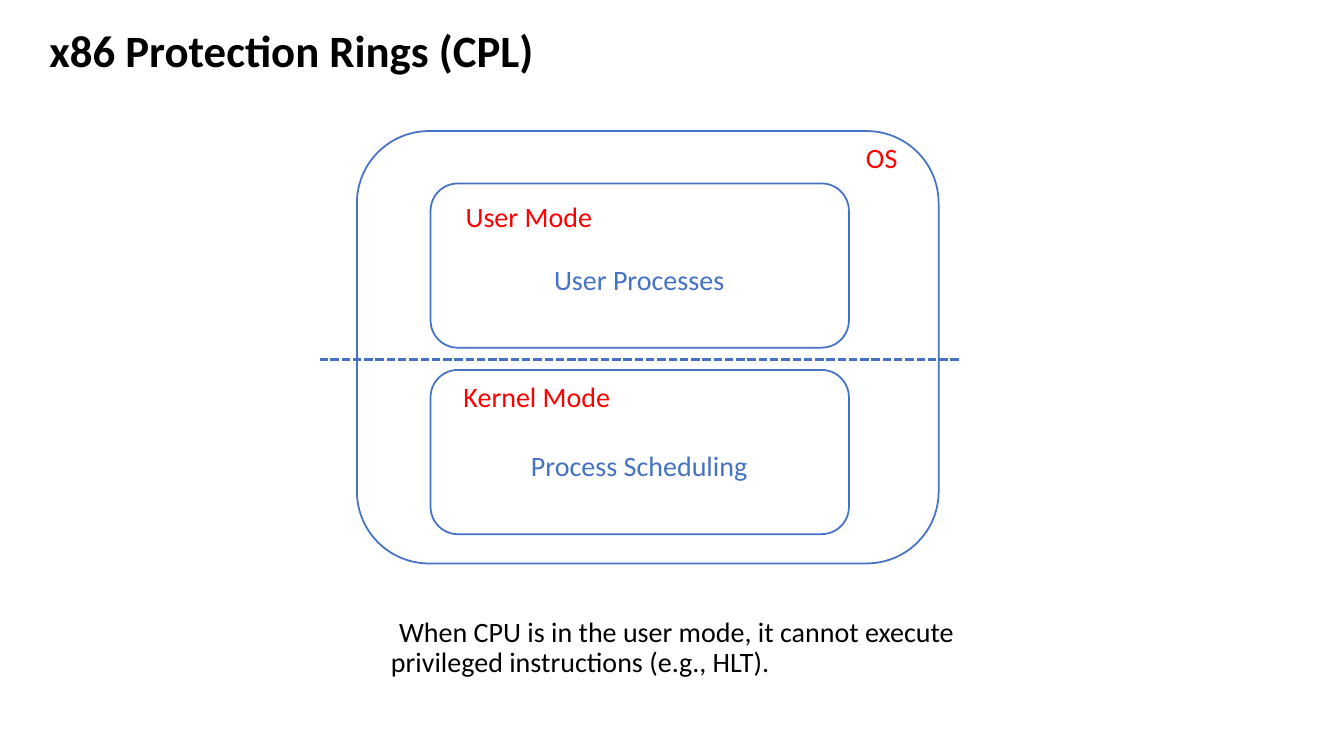
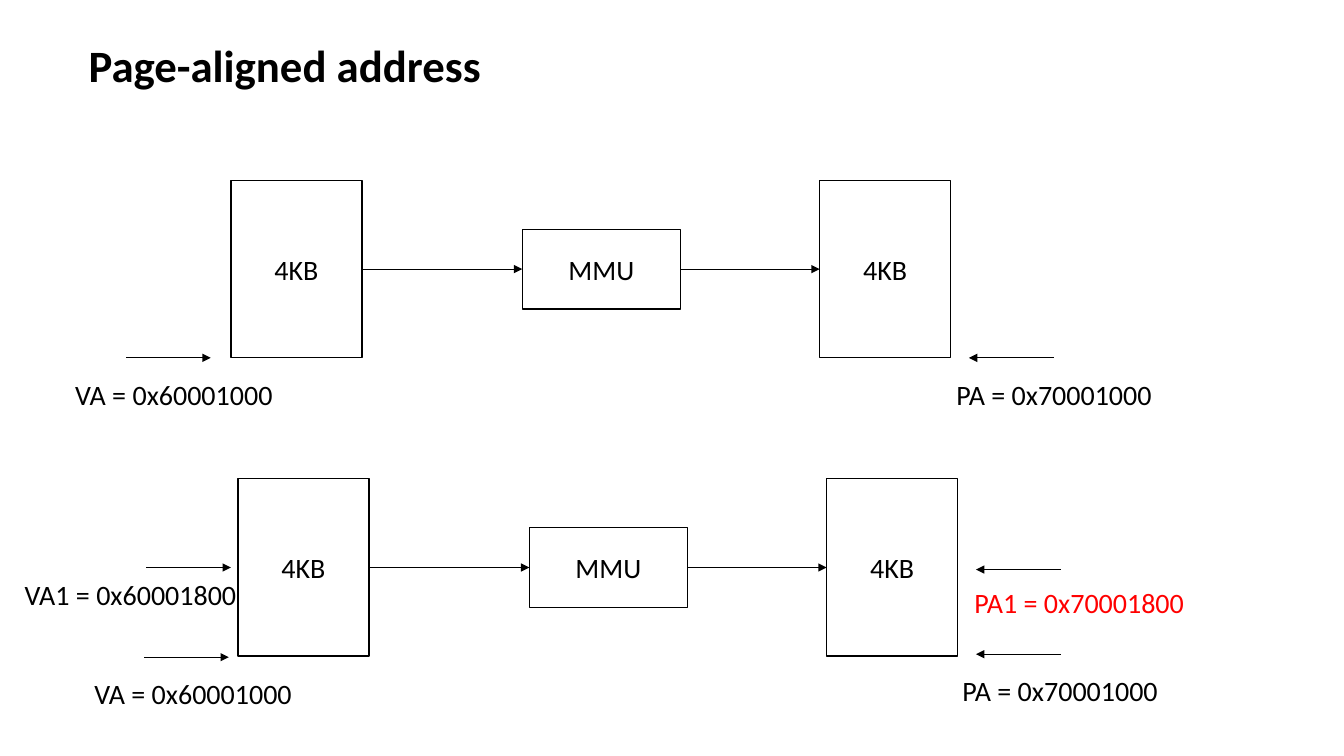
from lxml import etree
from pptx import Presentation
from pptx import util as u
from pptx.dml.color import RGBColor
from pptx.enum import dml, shapes, text
from pptx.oxml.ns import qn

BLACK = RGBColor(0x00, 0x00, 0x00)
RED = RGBColor(0xFF, 0x00, 0x00)
BLUE = RGBColor(0x44, 0x72, 0xC4)
FONT = "Calibri"
ROUNDED = shapes.MSO_SHAPE.ROUNDED_RECTANGLE
RECTANGLE = shapes.MSO_SHAPE.RECTANGLE


def add_box(slide, at, words="", color=BLACK, outline=None, weight=1, preset=None,
            size=20, bold=False, align=text.PP_ALIGN.CENTER, anchor=text.MSO_ANCHOR.MIDDLE):
    place = [u.Inches(length) for length in at]
    if preset is None:
        box = slide.shapes.add_textbox(*place)
    else:
        box = slide.shapes.add_shape(preset, *place)
        box.shadow.inherit = False
        box.fill.background()
        if outline is None:
            box.line.fill.background()
        else:
            box.line.color.rgb = outline
            box.line.width = u.Pt(weight)
    frame = box.text_frame
    frame.word_wrap = True
    frame.vertical_anchor = anchor
    if words:
        frame.text = words
        paragraph = frame.paragraphs[0]
        paragraph.alignment = align
        font = paragraph.runs[0].font
        font.name, font.size, font.bold = FONT, u.Pt(size), bold
        font.color.rgb = color
    return box


def add_line(slide, start, end, color=BLACK, weight=0.5, arrow=True):
    line = slide.shapes.add_connector(
        shapes.MSO_CONNECTOR.STRAIGHT, *[u.Inches(length) for length in (*start, *end)])
    line.line.color.rgb = color
    line.line.width = u.Pt(weight)
    if arrow:
        etree.SubElement(line.line._get_or_add_ln(), qn("a:tailEnd"), type="triangle")
    etree.SubElement(line._element.spPr, qn("a:effectLst"))
    return line


deck = Presentation()
deck.slide_width = u.Inches(13.33)
deck.slide_height = u.Inches(7.5)

slides = []
for title, at in [
    ("x86 Protection Rings (CPL)", (0.39, 0.1, 6.79, 0.85)),
    ("Page-aligned address", (0.78, 0.28, 5.53, 0.79)),
]:
    slide = deck.slides.add_slide(deck.slide_layouts[6])
    heading = add_box(slide, at, title, size=32, bold=True, align=text.PP_ALIGN.LEFT)
    heading.text_frame.paragraphs[0].line_spacing = 0.9
    slides.append(slide)
rings, paging = slides

add_box(rings, (3.54, 1.3, 5.77, 4.29), outline=BLUE, weight=1.25, preset=ROUNDED)
for top in (1.82, 3.67):
    add_box(rings, (4.27, top, 4.15, 1.63), outline=BLUE, weight=1.25, preset=ROUNDED)
for label, at, color in [
    ("OS", (8.09, 1.3, 1.31, 0.53), RED),
    ("User Mode", (4.27, 1.85, 1.95, 0.6), RED),
    ("User Processes", (4.48, 2.51, 3.72, 0.53), BLUE),
    ("Kernel Mode", (4.27, 3.69, 2.11, 0.49), RED),
    ("Process Scheduling", (4.48, 4.35, 3.72, 0.53), BLUE),
]:
    add_box(rings, at, label, color, preset=ROUNDED)
boundary = add_line(rings, (9.51, 3.57), (3.17, 3.57), BLUE, 2, arrow=False)
boundary.line.dash_style = dml.MSO_LINE.SQUARE_DOT

remark = add_box(
    rings, (3.78, 6.08, 6, 0.85),
    "When CPU is in the user mode, it cannot execute privileged instructions (e.g., HLT).",
    align=text.PP_ALIGN.LEFT, anchor=text.MSO_ANCHOR.TOP)
remark_paragraph = remark.text_frame.paragraphs[0]
remark_paragraph.line_spacing = 0.9
remark_paragraph._p.get_or_add_pPr().set("indent", str(u.Inches(0.08)))

PAGE_WIDTH, PAGE_HEIGHT = 1.3, 1.76
MMU_WIDTH, MMU_HEIGHT = 1.57, 0.79
for left, top in [(2.29, 1.79), (2.36, 4.75)]:
    middle = top + PAGE_HEIGHT / 2
    mmu_left = left + 2.89
    physical_left = left + 5.84
    for page_left in (left, physical_left):
        add_box(paging, (page_left, top, PAGE_WIDTH, PAGE_HEIGHT), "4KB",
                outline=BLACK, preset=RECTANGLE)
    add_box(paging, (mmu_left, middle - MMU_HEIGHT / 2, MMU_WIDTH, MMU_HEIGHT), "MMU",
            outline=BLACK, preset=RECTANGLE)
    add_line(paging, (left + PAGE_WIDTH, middle), (mmu_left, middle))
    add_line(paging, (mmu_left + MMU_WIDTH, middle), (physical_left, middle))

POINTER = 0.84
for address, color, label_left, label_top, tail, pointer_top, direction in [
    ("VA = 0x60001000", BLACK, 0.45, 3.64, 1.25, 3.55, 1),
    ("PA = 0x70001000", BLACK, 9.18, 3.64, 10.45, 3.55, -1),
    ("VA1 = 0x60001800", BLACK, 0.02, 5.63, 1.45, 5.63, 1),
    ("PA1 = 0x70001800", RED, 9.43, 5.71, 10.52, 5.65, -1),
    ("VA = 0x60001000", BLACK, 0.64, 6.61, 1.43, 6.52, 1),
    ("PA = 0x70001000", BLACK, 9.24, 6.58, 10.52, 6.49, -1),
]:
    add_box(paging, (label_left, label_top, 2.55, 0.54), address, color)
    add_line(paging, (tail, pointer_top), (tail + direction * POINTER, pointer_top))

deck.save("out.pptx")
